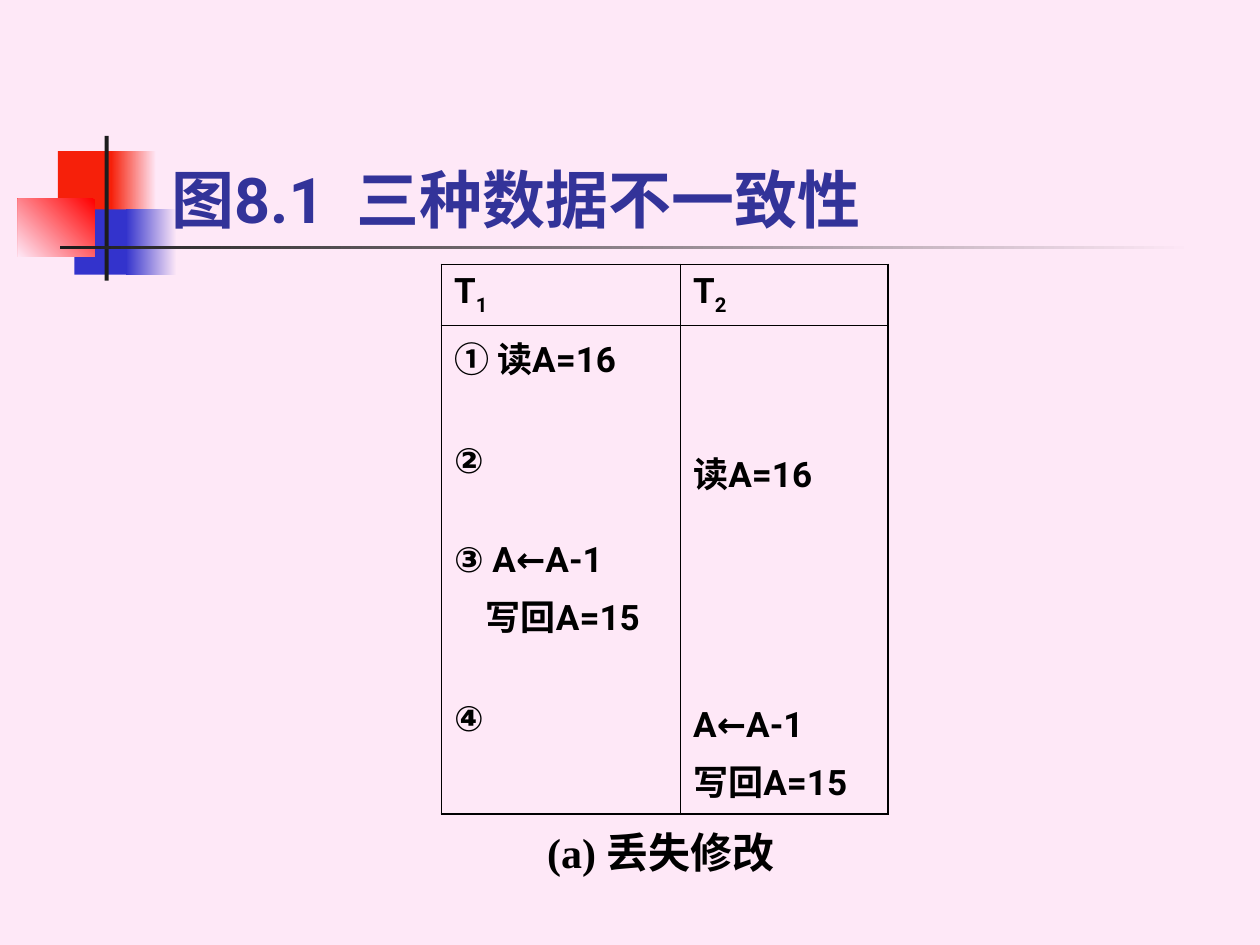
from dataclasses import dataclass

import pptx
import pptx.dml.color
import pptx.enum.shapes
import pptx.enum.text
import pptx.oxml.ns
import pptx.util
from lxml import etree

Cm = pptx.util.Cm
Pt = pptx.util.Pt
RGBColor = pptx.dml.color.RGBColor
Anchor = pptx.enum.text.MSO_ANCHOR
Align = pptx.enum.text.PP_ALIGN

PINK = RGBColor(0xFE, 0xE8, 0xF7)
ORANGE_RED = RGBColor(0xF6, 0x20, 0x0A)
RED = RGBColor(0xFF, 0x00, 0x00)
BLUE = RGBColor(0x33, 0x33, 0xCC)
NAVY = RGBColor(0x33, 0x33, 0x99)
CHARCOAL = RGBColor(0x1C, 0x1C, 0x1C)
BLACK = RGBColor(0x00, 0x00, 0x00)

THICK, THIN = Pt(1.08), Pt(0.45)
LINE_GAP = 5      # points before each table line
EMPTY_STEP = 28.4  # points taken by one skipped line


@dataclass(frozen=True)
class Block:
    """A decorative rectangle; end makes it a gradient from fill to end."""
    left: float
    top: float
    width: float
    height: float
    fill: RGBColor
    end: RGBColor | None = None
    angle: int = 180


@dataclass(frozen=True)
class Line:
    """A line of a table cell."""
    text: str
    subscript: str = ""
    skipped: int = 0
    indent: float = 0


@dataclass(frozen=True)
class CellContent:
    lines: tuple[Line, ...]
    top_margin: float = 0.13


BLOCKS = (
    Block(1.17, 3.05, 1.22, 1.32, ORANGE_RED),
    Block(2.24, 3.05, 0.91, 1.32, PINK, ORANGE_RED),
    Block(1.5, 4.22, 1.17, 1.32, BLUE),
    Block(2.54, 4.22, 1.02, 1.32, PINK, BLUE),
    Block(0.36, 4.01, 1.55, 1.17, RED, PINK, 225),
    Block(2.11, 2.74, 0.08, 2.92, CHARCOAL),
    Block(1.22, 4.95, 22.86, 0.08, PINK, CHARCOAL),
)

COLUMN_WIDTHS = (4.82, 4.18)
ROW_HEIGHTS = (1.22, 9.86)
SCHEDULE = (
    (CellContent((Line("T", "1"),)), CellContent((Line("T", "2"),))),
    (
        CellContent((
            Line("① 读A=16"),
            Line("②", skipped=1),
            Line("③ A←A-1", skipped=1),
            Line("写回A=15", indent=0.64),
            Line("④", skipped=1),
        )),
        CellContent((
            Line("读A=16"),
            Line("A←A-1", skipped=4),
            Line("写回A=15"),
        ), top_margin=2.46),
    ),
)


def write_text(text_frame, text: str, *, size: float, font: str = "Roboto",
               color: RGBColor = BLACK, align=Align.LEFT, before: float = 0,
               indent: float = 0, subscript: str = "") -> None:
    """Add one bold paragraph, with an optional subscript at its end."""
    paragraph = text_frame.paragraphs[0]
    if paragraph.runs:
        paragraph = text_frame.add_paragraph()
    paragraph.alignment = align
    paragraph.space_before = Pt(before)
    if indent:
        paragraph._p.get_or_add_pPr().set("marL", str(Cm(indent)))
    for part, baseline in ((text, 0), (subscript, -25000)):
        if not part:
            continue
        run = paragraph.add_run()
        run.text = part
        run.font.name = font
        run.font.size = Pt(size)
        run.font.bold = True
        run.font.color.rgb = color
        if baseline:
            run.font._element.set("baseline", str(baseline))


def add_block(slide, block: Block) -> None:
    shape = slide.shapes.add_shape(
        pptx.enum.shapes.MSO_SHAPE.RECTANGLE,
        Cm(block.left), Cm(block.top), Cm(block.width), Cm(block.height))
    shape.shadow.inherit = False
    shape.line.fill.background()
    if block.end is None:
        shape.fill.solid()
        shape.fill.fore_color.rgb = block.fill
        return
    shape.fill.gradient()
    shape.fill.gradient_angle = block.angle
    for stop, color in zip(shape.fill.gradient_stops, (block.fill, block.end)):
        stop.color.rgb = color


def add_text_box(slide, left: float, top: float, width: float, height: float,
                 *, anchor, wrap: bool):
    text_frame = slide.shapes.add_textbox(
        Cm(left), Cm(top), Cm(width), Cm(height)).text_frame
    text_frame.word_wrap = wrap
    text_frame.vertical_anchor = anchor
    return text_frame


def set_borders(cell, widths: dict[str, int]) -> None:
    properties = cell._tc.get_or_add_tcPr()
    for position, (side, width) in enumerate(widths.items()):
        line = etree.Element(pptx.oxml.ns.qn(f"a:ln{side}"), w=str(width))
        fill = etree.SubElement(line, pptx.oxml.ns.qn("a:solidFill"))
        etree.SubElement(fill, pptx.oxml.ns.qn("a:srgbClr"), val=str(BLACK))
        properties.insert(position, line)


def add_schedule(slide, left: float, top: float) -> None:
    rows, columns = len(ROW_HEIGHTS), len(COLUMN_WIDTHS)
    table = slide.shapes.add_table(
        rows, columns, Cm(left), Cm(top),
        Cm(sum(COLUMN_WIDTHS)), Cm(sum(ROW_HEIGHTS))).table
    table.first_row = table.horz_banding = False
    for column, width in zip(table.columns, COLUMN_WIDTHS):
        column.width = Cm(width)
    for row, height in zip(table.rows, ROW_HEIGHTS):
        row.height = Cm(height)
    for i, contents in enumerate(SCHEDULE):
        for j, content in enumerate(contents):
            cell = table.cell(i, j)
            cell.fill.background()
            cell.margin_top = Cm(content.top_margin)
            for line in content.lines:
                write_text(cell.text_frame, line.text, size=20,
                           before=LINE_GAP + line.skipped * EMPTY_STEP,
                           indent=line.indent, subscript=line.subscript)
            # Outer edges are thick, inner ones thin
            set_borders(cell, {
                "L": THICK if j == 0 else THIN,
                "R": THICK if j == columns - 1 else THIN,
                "T": THICK if i == 0 else THIN,
                "B": THICK if i == rows - 1 else THIN,
            })


def main() -> None:
    presentation = pptx.Presentation()
    presentation.slide_width, presentation.slide_height = Cm(25.4), Cm(19.05)
    slide = presentation.slides.add_slide(presentation.slide_layouts[6])
    slide.background.fill.solid()
    slide.background.fill.fore_color.rgb = PINK

    # Decoration
    for block in BLOCKS:
        add_block(slide, block)

    # Title
    title = add_text_box(slide, 3.2, 1.7, 21.64, 3.18,
                         anchor=Anchor.BOTTOM, wrap=True)
    write_text(title, "图8.1  三种数据不一致性", size=36, color=NAVY)

    # Schedule of the two transactions and its caption
    add_schedule(slide, 8.9, 5.33)
    caption = add_text_box(slide, 9.73, 16.31, 7.19, 1.7,
                           anchor=Anchor.MIDDLE, wrap=False)
    write_text(caption, "(a) 丢失修改", size=24, font="Times New Roman",
               align=Align.CENTER)

    presentation.save("out.pptx")


if __name__ == "__main__":
    main()
